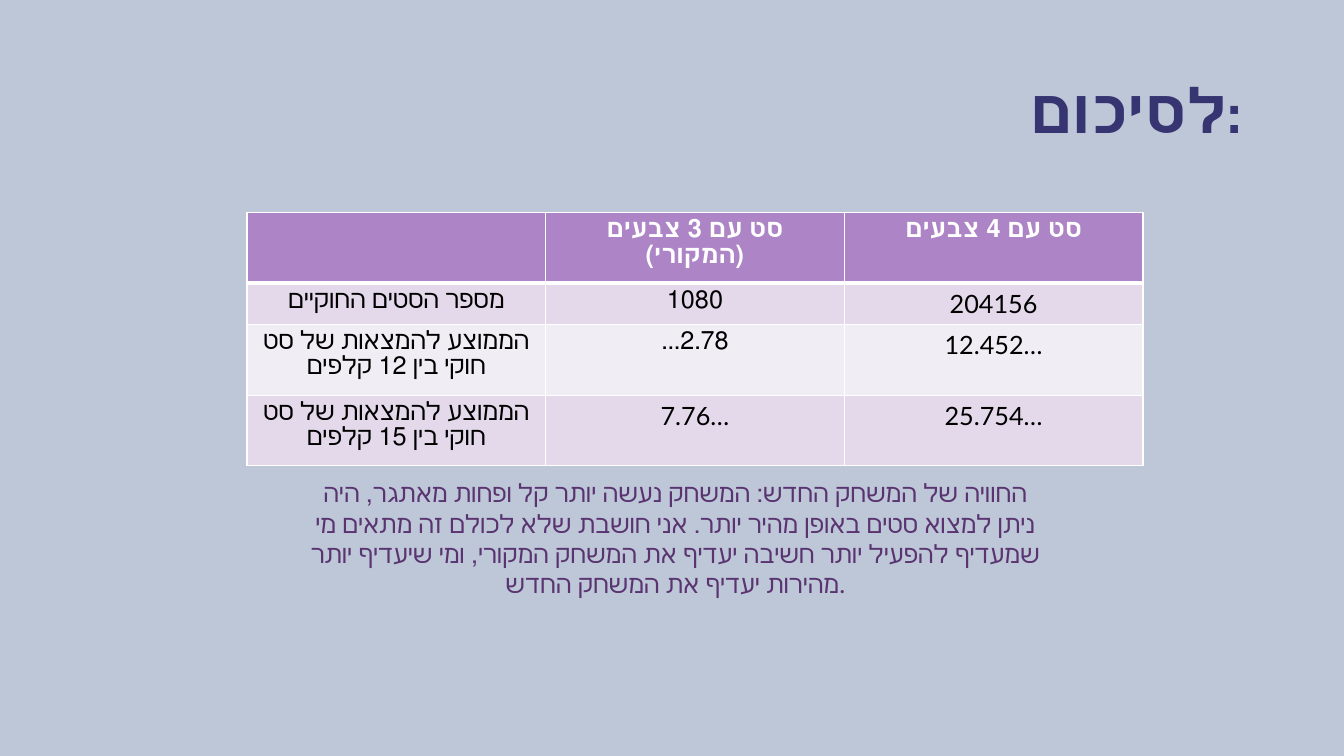
from lxml import etree
from pptx import Presentation, util as u
from pptx.dml.color import RGBColor
from pptx.enum import shapes, text
from pptx.oxml.ns import qn

BACKDROP = RGBColor(0xBD, 0xC7, 0xD7)
NAVY = RGBColor(0x37, 0x34, 0x72)
PLUM = RGBColor(0x5A, 0x34, 0x71)
HEADER = RGBColor(0xAD, 0x84, 0xC6)
BANDS = (RGBColor(0xE3, 0xD9, 0xEA), RGBColor(0xF1, 0xED, 0xF5))
WHITE = RGBColor(0xFF, 0xFF, 0xFF)
BLACK = RGBColor(0, 0, 0)

TITLE = "לסיכום:"
RESULTS = [
    ["", "סט עם 3 צבעים (המקורי)", "סט עם 4 צבעים"],
    ["מספר הסטים החוקיים", "1080", "204156"],
    ["הממוצע להמצאות של סט חוקי בין 12 קלפים", "2.78...", "12.452…"],
    ["הממוצע להמצאות של סט חוקי בין 15 קלפים", "7.76…", "25.754…"],
]
RIGHT_TO_LEFT = {(0, 2), (1, 0), (1, 1), (2, 0), (2, 1), (3, 0)}
ROW_HEIGHTS = (2.4, 1.64, 2.4, 2.4)
SUMMARY = (
    "החוויה של המשחק החדש: המשחק נעשה יותר קל ופחות מאתגר, היה ניתן למצוא "
    "סטים באופן מהיר יותר. אני חושבת שלא לכולם זה מתאים מי שמעדיף להפעיל "
    "יותר חשיבה יעדיף את המשחק המקורי, ומי שיעדיף יותר מהירות יעדיף את "
    "המשחק החדש."
)


class SlideBuilder:
    """Places elements on a grid of 40 columns by 30 rows."""

    COLUMNS, ROWS = 40, 30
    HEADING_FONT, BODY_FONT, BODY_SIZE = "Cabin", "Lato", 18

    def __init__(self, presentation):
        self.column = presentation.slide_width / self.COLUMNS
        self.row = presentation.slide_height / self.ROWS
        self.slide = presentation.slides.add_slide(presentation.slide_layouts[6])

    def box(self, left, top, width, height):
        return (round(left * self.column), round(top * self.row),
                round(width * self.column), round(height * self.row))

    def style(self, paragraph, color, align, size=BODY_SIZE, font=BODY_FONT, bold=False):
        paragraph.alignment = align
        for run in paragraph.runs:
            run.font.size = u.Pt(size)
            run.font.name = font
            run.font.bold = bold
            run.font.color.rgb = color

    def rectangle(self, place, fill):
        shape = self.slide.shapes.add_shape(
            shapes.MSO_SHAPE.RECTANGLE, *self.box(*place))
        shape.shadow.inherit = False
        shape.fill.solid()
        shape.fill.fore_color.rgb = fill
        shape.line.fill.background()

    def textbox(self, place, words):
        frame = self.slide.shapes.add_textbox(*self.box(*place)).text_frame
        frame.word_wrap = True
        frame.text = words
        return frame

    def title(self, place, words):
        frame = self.textbox(place, words)
        frame.vertical_anchor = text.MSO_ANCHOR.MIDDLE
        paragraph = frame.paragraphs[0]
        paragraph.line_spacing = 0.9
        self.style(paragraph, NAVY, text.PP_ALIGN.RIGHT, 44, self.HEADING_FONT, True)

    def body(self, place, words):
        frame = self.textbox(place, words)
        frame.auto_size = text.MSO_AUTO_SIZE.SHAPE_TO_FIT_TEXT
        self.style(frame.paragraphs[0], PLUM, text.PP_ALIGN.CENTER)

    def table(self, left, top, width, row_heights, rows):
        place = self.box(left, top, width, sum(row_heights))
        table = self.slide.shapes.add_table(len(rows), len(rows[0]), *place).table
        for r, (height, words) in enumerate(zip(row_heights, rows)):
            table.rows[r].height = round(height * self.row)
            for c, word in enumerate(words):
                self.cell(table.cell(r, c), word, r, (r, c) in RIGHT_TO_LEFT)

    def cell(self, cell, word, row, right_to_left):
        is_header = row == 0
        cell.text_frame.text = word
        paragraph = cell.text_frame.paragraphs[0]
        self.style(paragraph, WHITE if is_header else BLACK,
                   text.PP_ALIGN.CENTER, bold=is_header)
        if right_to_left:
            paragraph._p.get_or_add_pPr().set("rtl", "1")
        self.borders(cell, top=3 if row == 1 else 1, bottom=3 if is_header else 1)
        cell.fill.solid()
        cell.fill.fore_color.rgb = HEADER if is_header else BANDS[(row - 1) % 2]

    def borders(self, cell, top, bottom):
        properties = cell._tc.get_or_add_tcPr()
        for side, points in (("L", 1), ("R", 1), ("T", top), ("B", bottom)):
            line = etree.SubElement(properties, qn(f"a:ln{side}"), w=str(u.Pt(points)))
            fill = etree.SubElement(line, qn("a:solidFill"))
            etree.SubElement(fill, qn("a:srgbClr"), val=str(WHITE))


def main():
    presentation = Presentation()
    presentation.slide_width = u.Inches(13.33)
    presentation.slide_height = u.Inches(7.5)
    builder = SlideBuilder(presentation)
    builder.rectangle((0, -0.52, 40.56, 31.04), BACKDROP)
    builder.title((2.76, 1.6, 34.5, 5.8), TITLE)
    builder.table(7.35, 8.44, 26.67, ROW_HEIGHTS, RESULTS)
    builder.body((8.73, 18.76, 22.74, 5.24), SUMMARY)
    presentation.save("out.pptx")


if __name__ == "__main__":
    main()
